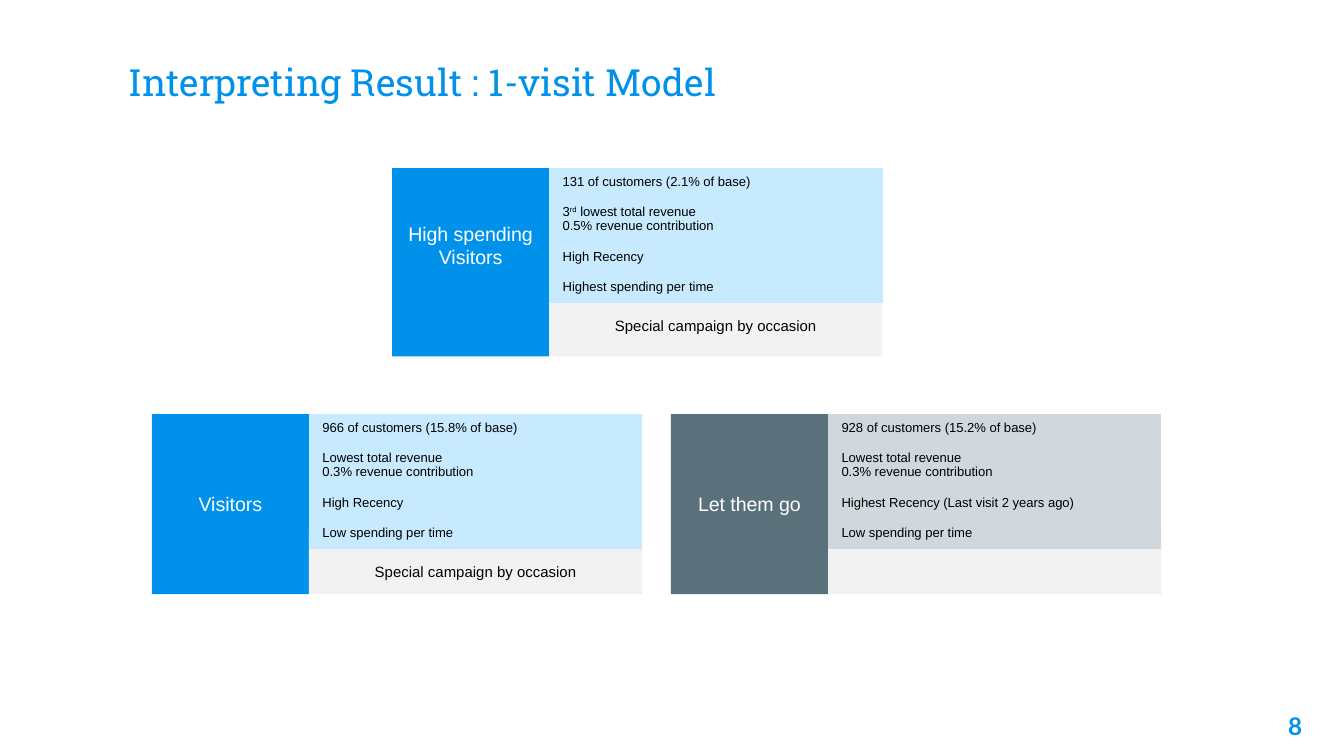
from dataclasses import dataclass

from pptx import Presentation
from pptx import util as u
from pptx.dml.color import RGBColor
from pptx.enum import shapes, text

BLUE = RGBColor(0x00, 0x91, 0xEA)
SLATE = RGBColor(0x5A, 0x71, 0x7B)
SKY = RGBColor(0xC8, 0xEA, 0xFF)
MIST = RGBColor(0xD1, 0xD8, 0xDD)
PALE = RGBColor(0xF2, 0xF2, 0xF2)
WHITE = RGBColor(0xFF, 0xFF, 0xFF)
BLACK = RGBColor(0x00, 0x00, 0x00)

LEFT, CENTER, RIGHT = text.PP_ALIGN.LEFT, text.PP_ALIGN.CENTER, text.PP_ALIGN.RIGHT
TOP, MIDDLE = text.MSO_ANCHOR.TOP, text.MSO_ANCHOR.MIDDLE

SIDE = 2.97
WIDE = 6.3
ROWS = (0.56, 0.86, 0.56, 0.56)
STRIP = 1.22
NOTE = 2.67
PLAIN = "{2D5ABB26-0587-4C30-8999-92F81FD0307C}"


@dataclass(frozen=True)
class Card:
    left: float
    top: float
    height: float
    label: str
    facts: tuple[str, ...]
    note: str = ""
    dark: RGBColor = BLUE
    light: RGBColor = SKY
    lift: float = 0


OFFER = "Special campaign by occasion"
CARDS = (
    Card(7.41, 3.18, 3.56, "High spending\nVisitors",
         ("131 of customers (2.1% of base)",
          "3^rd^ lowest total revenue\n0.5% revenue contribution",
          "High Recency", "Highest spending per time"), OFFER, lift=0.64),
    Card(12.68, 7.83, 3.4, "Let them go",
         ("928 of customers (15.2% of base)",
          "Lowest total revenue\n0.3% revenue contribution",
          "Highest Recency (Last visit 2 years ago)", "Low spending per time"),
         dark=SLATE, light=MIST),
    Card(2.87, 7.83, 3.4, "Visitors",
         ("966 of customers (15.8% of base)",
          "Lowest total revenue\n0.3% revenue contribution",
          "High Recency", "Low spending per time"), OFFER),
)


def write(frame, words: str, *, size: float, color: RGBColor = BLACK,
          font: str = "Arial", bold: bool = False, align=LEFT) -> None:
    """Fill a frame, one paragraph a line, raising words between carets."""
    for i, line in enumerate(words.split("\n")):
        para = frame.add_paragraph() if i else frame.paragraphs[0]
        para.alignment = align
        for j, part in enumerate(line.split("^")):
            run = para.add_run()
            run.text = part
            run.font.size = u.Pt(size)
            run.font.name = font
            run.font.bold = bold
            run.font.color.rgb = color
            if j % 2:
                run.font._element.set("baseline", "30000")


def add_text(slide, left: float, top: float, width: float, height: float,
             words: str, *, anchor=MIDDLE, inset: float = 0.25, **style) -> None:
    """Add a wrapped text box."""
    box = slide.shapes.add_textbox(u.Cm(left), u.Cm(top), u.Cm(width), u.Cm(height))
    frame = box.text_frame
    frame.word_wrap = True
    frame.vertical_anchor = anchor
    frame.margin_top = frame.margin_bottom = u.Cm(inset)
    write(frame, words, **style)


def add_rect(slide, left: float, top: float, width: float, height: float,
             color: RGBColor):
    """Add a flat rectangle without an outline."""
    rect = slide.shapes.add_shape(shapes.MSO_SHAPE.RECTANGLE, u.Cm(left),
                                  u.Cm(top), u.Cm(width), u.Cm(height))
    rect.shadow.inherit = False
    rect.fill.solid()
    rect.fill.fore_color.rgb = color
    rect.line.fill.background()
    return rect


def add_facts(slide, card: Card, left: float) -> None:
    """Add the one-column table of a card's facts."""
    table = slide.shapes.add_table(len(ROWS), 1, u.Cm(left), u.Cm(card.top),
                                   u.Cm(WIDE), u.Cm(sum(ROWS))).table
    table.first_row = table.horz_banding = False
    table._tbl.tblPr[0].text = PLAIN
    for row, height, fact in zip(table.rows, ROWS, card.facts):
        row.height = u.Cm(height)
        cell = row.cells[0]
        cell.fill.solid()
        cell.fill.fore_color.rgb = card.light
        write(cell.text_frame, fact, size=7)


def add_card(slide, card: Card) -> None:
    """Draw a card: label, strip, facts and note."""
    block = add_rect(slide, card.left, card.top, SIDE, card.height, card.dark)
    frame = block.text_frame
    frame.word_wrap = True
    frame.vertical_anchor = MIDDLE
    frame.margin_bottom = u.Cm(0.13 + card.lift)
    write(frame, card.label, size=10.5, color=WHITE, align=CENTER)
    left = card.left + SIDE
    add_rect(slide, left, card.top + card.height - STRIP, WIDE, STRIP, PALE)
    add_facts(slide, card, left)
    if card.note:
        add_text(slide, left, card.top + NOTE, WIDE, 0.61, card.note,
                 inset=0.13, size=8, align=CENTER)


def main() -> None:
    """Build and save the slide."""
    deck = Presentation()
    deck.slide_width, deck.slide_height = u.Cm(25.4), u.Cm(14.29)
    slide = deck.slides.add_slide(deck.slide_layouts[6])
    add_text(slide, 2.18, 0.86, 21.03, 1.96, "Interpreting Result : 1-visit Model",
             anchor=TOP, size=20, color=BLUE, font="Roboto Slab")
    add_text(slide, 23.34, 13.18, 1.52, 1.09, "8",
             size=13, color=BLUE, font="Lato", bold=True, align=RIGHT)
    for card in CARDS:
        add_card(slide, card)
    deck.save("out.pptx")


if __name__ == "__main__":
    main()
